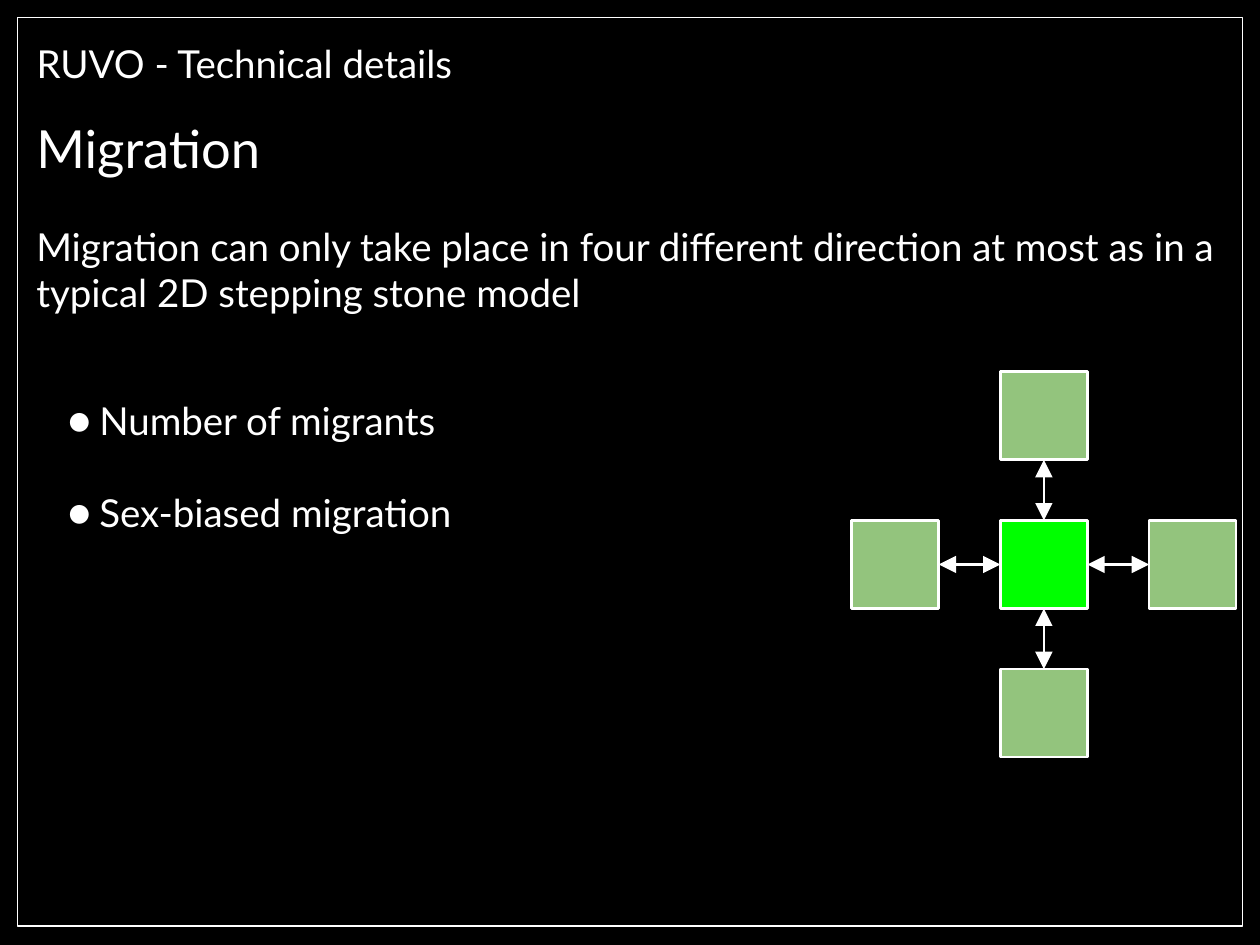
import pptx
import pptx.util
import pptx.dml.color
import pptx.enum.shapes
import pptx.enum.text
import pptx.oxml
import pptx.oxml.ns

Inches, Pt = pptx.util.Inches, pptx.util.Pt
RECT = pptx.enum.shapes.MSO_SHAPE.RECTANGLE
LINE = pptx.enum.shapes.MSO_CONNECTOR.STRAIGHT
FONT = "Lato"
COLORS = {"back": "000000", "ink": "FFFFFF", "deme": "93C47D", "home": "00FF00"}

HEAD = "RUVO - Technical details"
TOPIC = "Migration"
INTRO = ("Migration can only take place in four different direction at most "
         "as in a typical 2D stepping stone model")
POINTS = ["Number of migrants", "Sex-biased migration"]

LEFT, WIDTH = 0.19, 9.62
# Neighbours: column step, row step, site on the home deme, site on the neighbour
# (sites: 0 top, 1 left, 2 bottom, 3 right)
DEMES = [(0, 1, 2, 0), (0, -1, 0, 2), (-1, 0, 1, 3), (1, 0, 3, 1)]
HOME_X, HOME_Y, STEP = 7.94, 4.13, 1.18
DEME_W, DEME_H = 0.69, 0.7


def color(name):
    return pptx.dml.color.RGBColor.from_string(COLORS[name])


def add_xml(parent, tag, **attrs):
    node = pptx.oxml.parse_xml(f"<a:{tag} {pptx.oxml.ns.nsdecls('a')}/>")
    for key, value in attrs.items():
        node.set(key, value)
    parent.append(node)
    return node


def write(para, text, size=22, before=0, after=0, spacing=1, bullet=None):
    para.alignment = pptx.enum.text.PP_ALIGN.LEFT
    para.space_before, para.space_after = Pt(before), Pt(after)
    para.line_spacing = spacing
    if bullet:
        props = para._p.get_or_add_pPr()
        props.set("marL", str(Inches(0.5)))
        props.set("indent", str(Inches(-0.25)))
        add_xml(add_xml(props, "buClr"), "srgbClr", val=COLORS["ink"])
        add_xml(props, "buFont", typeface=FONT)
        add_xml(props, "buChar", char=bullet)
    run = para.add_run()
    run.text = text
    run.font.name, run.font.size = FONT, Pt(size)
    run.font.color.rgb = color("ink")


def place(shape, top, height):
    """Set the position and text frame of a full-width text shape."""
    shape.left, shape.top = Inches(LEFT), Inches(top)
    shape.width, shape.height = Inches(WIDTH), Inches(height)
    frame = shape.text_frame
    frame.word_wrap = True
    frame.auto_size = pptx.enum.text.MSO_AUTO_SIZE.NONE
    frame.vertical_anchor = pptx.enum.text.MSO_ANCHOR.TOP
    frame.margin_left = frame.margin_right = Inches(0.1)
    frame.margin_top = frame.margin_bottom = Inches(0.1)
    return frame


def add_box(slide, x, y, w, h, fill=None, weight=1.5):
    box = slide.shapes.add_shape(RECT, Inches(x), Inches(y), Inches(w), Inches(h))
    box.shadow.inherit = False
    if fill:
        box.fill.solid()
        box.fill.fore_color.rgb = color(fill)
    else:
        box.fill.background()
    box.line.color.rgb = color("ink")
    box.line.width = Pt(weight)
    return box


def link(slide, start, site, end, mate):
    """Join two demes with a double-headed arrow."""
    arrow = slide.shapes.add_connector(LINE, 0, 0, 0, 0)
    arrow.begin_connect(start, site)
    arrow.end_connect(end, mate)
    arrow.line.color.rgb = color("ink")
    arrow.line.width = Pt(1.5)
    for tag in ("headEnd", "tailEnd"):
        add_xml(arrow.line._get_or_add_ln(), tag, type="triangle", w="lg", len="lg")
    add_xml(arrow._element.spPr, "effectLst")


def main():
    deck = pptx.Presentation()
    deck.slide_width, deck.slide_height = Inches(10), Inches(7.5)
    slide = deck.slides.add_slide(deck.slide_layouts[5])
    slide.background.fill.solid()
    slide.background.fill.fore_color.rgb = color("back")

    frame = add_box(slide, 0.14, 0.14, 9.72, 7.21, weight=0.75)
    slide.shapes._spTree.insert(2, frame._element)

    write(place(slide.shapes.title, 0.22, 0.6).paragraphs[0], HEAD)
    topic = slide.shapes.add_textbox(0, 0, 0, 0)
    write(place(topic, 0.82, 0.6).paragraphs[0], TOPIC, size=30)

    body = place(slide.shapes.add_textbox(0, 0, 0, 0), 1.67, 5.58)
    write(body.paragraphs[0], INTRO, after=10)
    for i, point in enumerate(POINTS):
        write(body.add_paragraph(), point, before=0 if i else 10,
              spacing=2, bullet="●")

    home = add_box(slide, HOME_X, HOME_Y, DEME_W, DEME_H, "home")
    for col, row, site, mate in DEMES:
        deme = add_box(slide, HOME_X + col * STEP, HOME_Y + row * STEP,
                       DEME_W, DEME_H, "deme")
        link(slide, home, site, deme, mate)

    deck.save("out.pptx")


if __name__ == "__main__":
    main()
